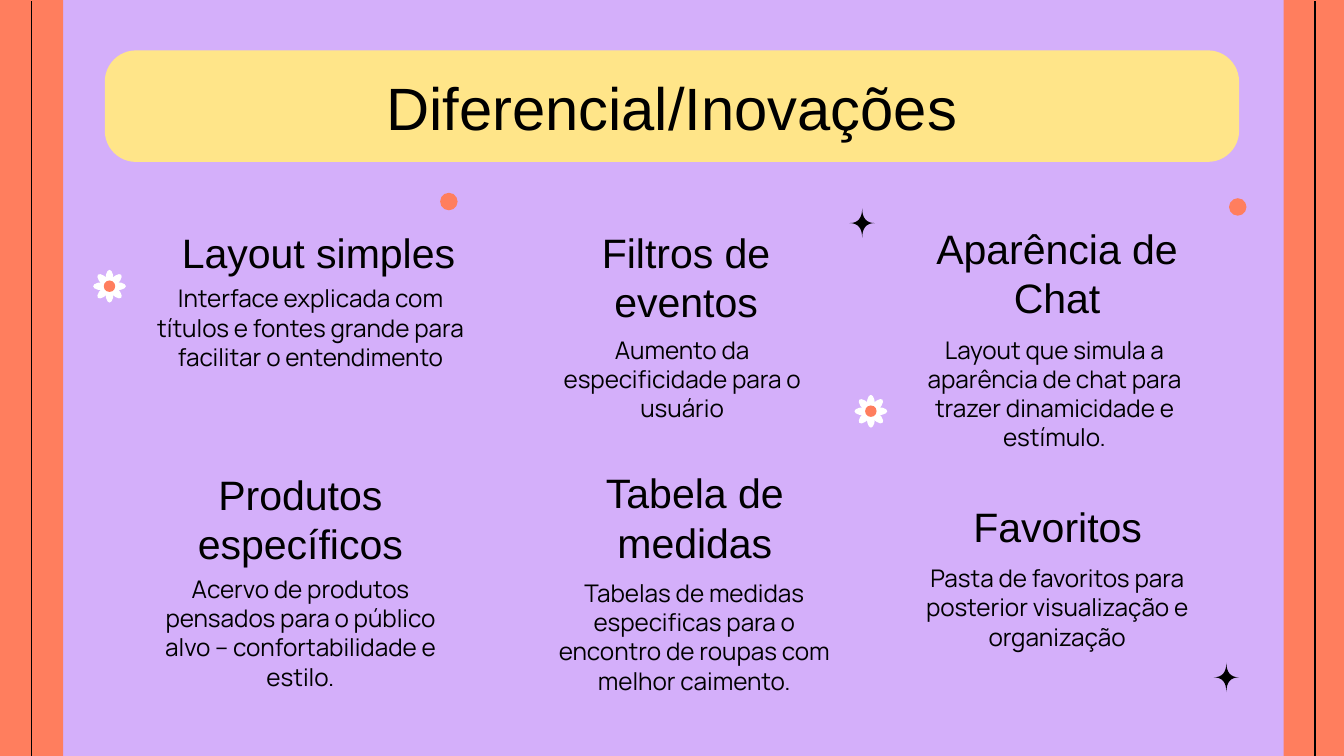
from collections import namedtuple
from math import cos, pi, sin

from lxml.etree import SubElement
from pptx import Presentation
from pptx.dml.color import RGBColor
from pptx.enum.shapes import MSO_CONNECTOR, MSO_SHAPE
from pptx.enum.text import MSO_ANCHOR, MSO_AUTO_SIZE, PP_ALIGN
from pptx.oxml.ns import qn
from pptx.util import Inches, Pt

LILAC = RGBColor(0xD4, 0xAF, 0xFA)
CORAL = RGBColor(0xFF, 0x7E, 0x5E)
YELLOW = RGBColor(0xFF, 0xE5, 0x89)
WHITE = RGBColor(0xFF, 0xFF, 0xFF)
BLACK = RGBColor(0, 0, 0)

WIDTH = Inches(10)
HEIGHT = WIDTH * 9 // 16
UNIT = WIDTH / 100  # the page is a grid of 100 columns with square cells
ROWS = HEIGHT / UNIT

Box = namedtuple("Box", "left top width height")

TITLE_FONT = {"name": "Arial", "size": Pt(32), "bold": False}
HEADING_FONT = {"name": "Arial", "size": Pt(22)}
BODY_FONT = {"name": "Manrope", "size": Pt(13)}
HEADING_SPACING, BODY_SPACING = Pt(26.5), Pt(15.7)
FRAME = {
    "margin_left": Inches(0.1), "margin_right": Inches(0.1),
    "margin_top": Inches(0.1), "margin_bottom": Inches(0.1),
    "word_wrap": True, "auto_size": MSO_AUTO_SIZE.NONE,
}

# heading, heading box, text, text box measured from the heading's corner
CARDS = [
    ("Layout simples", Box(10.1, 15.9, 27.2, 4.2),
     "Interface explicada com títulos e fontes grande para facilitar o entendimento",
     Box(-0.3, 4.2, 26.6, 9.3)),
    ("Filtros de eventos", Box(39.1, 15.9, 23.9, 4.2),
     "Aumento da especificidade para o usuário",
     Box(-0.1, 8, 23.5, 6.3)),
    ("Aparência de Chat", Box(66.9, 15.6, 23.5, 4.2),
     "Layout que simula a aparência de chat para trazer dinamicidade e estímulo.",
     Box(-0.2, 8.3, 23.5, 9.3)),
    ("Produtos específicos", Box(10.6, 33.9, 23.5, 4.2),
     "Acervo de produtos pensados para o público alvo – confortabilidade e estilo.",
     Box(0, 7.8, 23.5, 9.4)),
    ("Tabela de medidas", Box(38.1, 33.8, 27.2, 4.2),
     "Tabelas de medidas especificas para o encontro de roupas com melhor caimento.",
     Box(1.8, 8.2, 23.5, 9)),
    ("Favoritos", Box(65.1, 36.3, 27.2, 4.2),
     "Pasta de favoritos para posterior visualização e organização",
     Box(1.8, 4.6, 23.5, 9)),
]


def grid(*cells):
    return [round(cell * UNIT) for cell in cells]


def paint(shape, color):
    shape.shadow.inherit = False
    shape.fill.solid()
    shape.fill.fore_color.rgb = color
    shape.line.fill.background()


def add_filled(page, kind, box, color):
    shape = page.shapes.add_shape(kind, *grid(*box))
    paint(shape, color)
    return shape


def write(frame, text, font_format, spacing=None, anchor=MSO_ANCHOR.TOP):
    for name, value in FRAME.items():
        setattr(frame, name, value)
    frame.vertical_anchor = anchor
    para = frame.paragraphs[0]
    para.alignment = PP_ALIGN.CENTER
    if spacing:
        para.line_spacing = spacing
    span = para.add_run()
    span.text = text
    for name, value in font_format.items():
        setattr(span.font, name, value)
    span.font.color.rgb = BLACK


def add_side_band(page, box, line_offset):
    add_filled(page, MSO_SHAPE.RECTANGLE, box, CORAL)
    column = box.left + line_offset
    rule = page.shapes.add_connector(
        MSO_CONNECTOR.STRAIGHT, *grid(column, box.height, column, 0.1))
    rule.line.color.rgb = BLACK
    rule.line.width = Pt(0.75)
    SubElement(rule.element.spPr, qn("a:effectLst"))


def add_title(page, box):
    banner = add_filled(page, MSO_SHAPE.ROUNDED_RECTANGLE, box, YELLOW)
    banner.adjustments[0] = 0.28
    title = page.shapes.title
    title.left, title.top, title.width, title.height = grid(
        box.left, box.top + 1, box.width, box.height - 2)
    write(title.text_frame, "Diferencial/Inovações", TITLE_FONT, anchor=MSO_ANCHOR.MIDDLE)
    banner.element.addnext(title.element)


def add_card(page, heading, box, text, text_box):
    heading_shape = page.shapes.add_textbox(*grid(*box))
    write(heading_shape.text_frame, heading, HEADING_FONT, HEADING_SPACING)
    body_shape = page.shapes.add_textbox(*grid(
        box.left + text_box.left, box.top + text_box.top, text_box.width, text_box.height))
    write(body_shape.text_frame, text, BODY_FONT, BODY_SPACING)


def add_dot(page, x, y, size=1.3):
    add_filled(page, MSO_SHAPE.OVAL, Box(x - size / 2, y - size / 2, size, size), CORAL)


def add_flower(page, x, y):
    length, breadth, reach = 1.4, 0.6, 0.52
    for step in range(8):
        angle = step * pi / 4
        petal = add_filled(page, MSO_SHAPE.OVAL, Box(
            x + reach * cos(angle) - length / 2,
            y + reach * sin(angle) - breadth / 2, length, breadth), WHITE)
        petal.rotation = step * 45
    add_dot(page, x, y, 0.85)


def add_sparkle(page, box):
    """Four-pointed star whose sides curve in towards its centre."""
    x, y = box.left + box.width / 2, box.top + box.height / 2
    steps = 8
    points = []
    for quarter in range(4):
        start, end = quarter * pi / 2, (quarter + 1) * pi / 2
        for step in range(steps):
            share = step / steps
            near, far = (1 - share) ** 2, share ** 2
            points.append(grid(
                x + box.width / 2 * (near * cos(start) + far * cos(end)),
                y + box.height / 2 * (near * sin(start) + far * sin(end))))
    builder = page.shapes.build_freeform(*points[0])
    builder.add_line_segments(points[1:], close=True)
    paint(builder.convert_to_shape(), BLACK)


def main():
    deck = Presentation()
    deck.slide_width, deck.slide_height = WIDTH, HEIGHT
    page = deck.slides.add_slide(deck.slide_layouts[5])
    page.background.fill.solid()
    page.background.fill.fore_color.rgb = LILAC

    add_side_band(page, Box(0, 0, 4.7, ROWS), 2.35)
    add_side_band(page, Box(95.5, 0, 4.5, ROWS), 2.35)
    add_title(page, Box(7.8, 3.75, 84.4, 8.3))
    for card in CARDS:
        add_card(page, *card)
    for center in [(92.1, 15.4), (33.4, 15)]:
        add_dot(page, *center)
    for center in [(8.15, 21.3), (64.8, 30.6)]:
        add_flower(page, *center)
    for corner in [(90.3, 49.3), (63.2, 15.5)]:
        add_sparkle(page, Box(*corner, 1.9, 2.2))
    deck.save("out.pptx")


if __name__ == "__main__":
    main()
